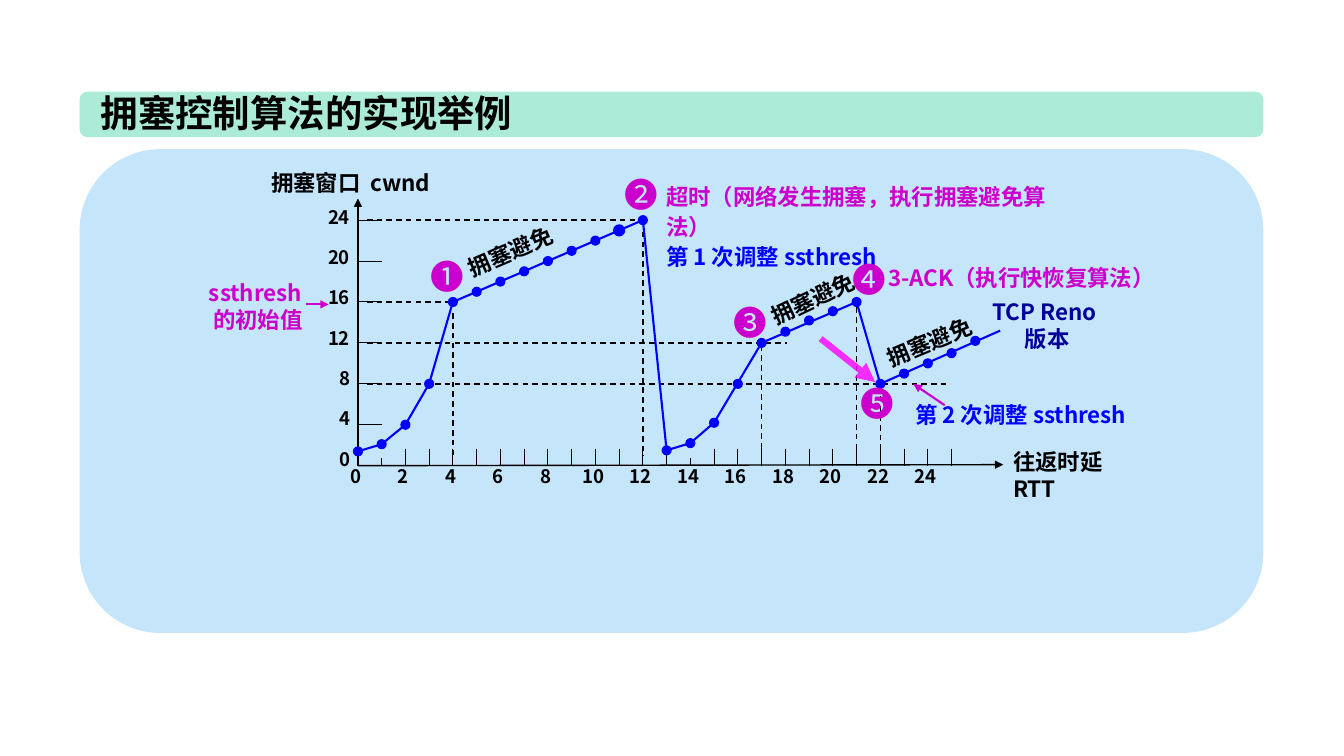
from lxml import etree
from pptx import Presentation
from pptx.dml.color import RGBColor
from pptx.enum import dml, shapes, text
from pptx.oxml import ns
from pptx.util import Inches, Pt

FONT = "Noto Sans CJK SC"
BLACK = RGBColor(0x00, 0x00, 0x00)
BLUE = RGBColor(0x00, 0x00, 0xFF)
NAVY = RGBColor(0x00, 0x00, 0x99)
PURPLE = RGBColor(0xCC, 0x00, 0xCC)
MAGENTA = RGBColor(0xFF, 0x00, 0xFF)
MINT = RGBColor(0xAB, 0xEB, 0xD7)
SKY = RGBColor(0xC5, 0xE5, 0xFB)

# Chart scale: origin, and inches per RTT and per cwnd unit
ORIGIN_X, ORIGIN_Y = 3.55, 4.62
RTT_STEP, CWND_STEP = 0.2355, 0.1015

# Congestion window at RTT 0, 1, 2, ... 26
CWND = [1.4, 2.1, 4, 8, 16, 17, 18, 19, 20, 21, 22, 23, 24,
        1.5, 2.2, 4.2, 8, 12, 13.1, 14.2, 15.1, 16,
        8, 9, 10, 11, 12.2]


def rtt_x(rtt):
    return ORIGIN_X + RTT_STEP * rtt


def cwnd_y(cwnd):
    return ORIGIN_Y - CWND_STEP * cwnd


def at_rtt(rtt):
    return rtt_x(rtt), cwnd_y(CWND[rtt])


def add_panel(slide, left, top, width, height, color):
    panel = slide.shapes.add_shape(
        shapes.MSO_SHAPE.ROUNDED_RECTANGLE,
        Inches(left), Inches(top), Inches(width), Inches(height))
    panel.shadow.inherit = False
    panel.fill.solid()
    panel.fill.fore_color.rgb = color
    panel.line.fill.background()


def add_label(slide, left, top, width, height, lines, color=BLACK, size=16,
              bold=True, align=text.PP_ALIGN.LEFT, wrap=False, rotation=0,
              spacing=None):
    """Each line is a string, or a (string, color) pair."""
    label = slide.shapes.add_textbox(
        Inches(left), Inches(top), Inches(width), Inches(height))
    label.rotation = rotation
    frame = label.text_frame
    frame.word_wrap = wrap
    for index, line in enumerate(lines):
        words, line_color = line if isinstance(line, tuple) else (line, color)
        paragraph = frame.paragraphs[0] if index == 0 else frame.add_paragraph()
        paragraph.alignment = align
        if spacing:
            paragraph.line_spacing = Pt(spacing)
        run = paragraph.add_run()
        run.text = words
        paragraph.font.size = Pt(size)
        paragraph.font.bold = bold
        paragraph.font.name = FONT
        paragraph.font.color.rgb = line_color
        east_asian = etree.SubElement(run._r.get_or_add_rPr(), ns.qn("a:ea"))
        east_asian.set("typeface", FONT)


def add_line(slide, start, end, color=BLACK, width=0.75, dashed=False,
             arrow=False, opacity=100):
    line = slide.shapes.add_connector(
        shapes.MSO_CONNECTOR.STRAIGHT, *map(Inches, (*start, *end)))
    line.line.color.rgb = color
    line.line.width = Pt(width)
    if dashed:
        line.line.dash_style = dml.MSO_LINE.DASH
    properties = line._element.spPr
    outline = line.line._get_or_add_ln()
    if opacity < 100:
        alpha = etree.SubElement(outline.find(".//" + ns.qn("a:srgbClr")),
                                 ns.qn("a:alpha"))
        alpha.set("val", str(opacity * 1000))
    if arrow:
        etree.SubElement(outline, ns.qn("a:tailEnd")).set("type", "triangle")
    etree.SubElement(properties, ns.qn("a:effectLst"))


def add_curve(slide, points):
    (first, *rest) = [(Inches(x), Inches(y)) for x, y in points]
    builder = slide.shapes.build_freeform(*first)
    builder.add_line_segments(rest, close=False)
    curve = builder.convert_to_shape()
    curve.shadow.inherit = False
    curve.fill.background()
    curve.line.color.rgb = BLUE
    curve.line.width = Pt(1.5)


def add_dot(slide, x, y, outline=0.75):
    size = 0.09
    dot = slide.shapes.add_shape(
        shapes.MSO_SHAPE.OVAL, Inches(x - size / 2), Inches(y - size / 2),
        Inches(size), Inches(size))
    dot.shadow.inherit = False
    dot.fill.solid()
    dot.fill.fore_color.rgb = BLUE
    dot.line.color.rgb = BLUE
    dot.line.width = Pt(outline)


def draw_axes(slide):
    origin = (ORIGIN_X, ORIGIN_Y)
    add_line(slide, origin, (9.95, 4.61), width=1, arrow=True)
    add_line(slide, origin, (ORIGIN_X, 1.97), width=1, arrow=True)
    for rtt in range(1, 26):
        top = 4.54 if rtt in (1, 14) else 4.45
        add_line(slide, (rtt_x(rtt), top), (rtt_x(rtt), ORIGIN_Y))
    for cwnd in range(4, 25, 4):
        add_line(slide, (ORIGIN_X, cwnd_y(cwnd)), (3.79, cwnd_y(cwnd)))

    # Numbers on both axes
    for rtt in range(0, 25, 2):
        width = 0.32 if rtt < 10 else 0.43
        add_label(slide, rtt_x(rtt) - 0.02 - width / 2, 4.56, width, 0.33,
                  [str(rtt)], size=13.3, align=text.PP_ALIGN.CENTER)
    for cwnd in range(0, 25, 4):
        width = 0.32 if cwnd < 10 else 0.43
        add_label(slide, 3.57 - width, 4.39 - 0.1 * cwnd, width, 0.33,
                  [str(cwnd)], size=13.3, align=text.PP_ALIGN.RIGHT)
    add_label(slide, 9.95, 4.4, 1.2, 0.64, ["往返时延 RTT"], wrap=True)
    add_label(slide, 2.59, 1.63, 2.3, 0.37, ["拥塞窗口  cwnd"], wrap=True)


def draw_guides(slide):
    for cwnd, right in ((24, 6.39), (16, 4.49), (12, 7.81), (8, 9.38)):
        add_line(slide, (3.64, cwnd_y(cwnd)), (right, cwnd_y(cwnd)),
                 width=1, dashed=True)
    for rtt, top in ((4, 3.11), (12, 2.3), (17, 3.43), (21, 3.05), (22, 3.83)):
        add_line(slide, (rtt_x(rtt), top), (rtt_x(rtt), 4.52),
                 width=1, dashed=True)


def draw_window_curve(slide):
    add_curve(slide, [at_rtt(rtt) for rtt in (0, 1, 2, 3, 4, 12)])
    add_curve(slide, [at_rtt(rtt) for rtt in (13, 14, 15, 17, 21)])
    for before, after in ((12, 13), (21, 22)):
        add_line(slide, at_rtt(before), at_rtt(after), BLUE, 1.5)
    add_line(slide, at_rtt(22), (9.92, 3.28), BLUE, 1.5)
    for rtt in range(len(CWND)):
        add_dot(slide, *at_rtt(rtt), outline=2.25 if rtt == 11 else 0.75)


def draw_notes(slide):
    center = text.PP_ALIGN.CENTER
    add_label(slide, 6.51, 1.74, 4.35, 0.97,
              [("超时（网络发生拥塞，执行拥塞避免算法）", PURPLE),
               ("第 1 次调整 ssthresh", BLUE)], wrap=True, spacing=21.3)
    add_label(slide, 8.71, 2.57, 3.14, 0.37, ["3-ACK（执行快恢复算法）"],
              PURPLE, wrap=True)
    add_label(slide, 8.98, 3.93, 2.94, 0.37, ["第 2 次调整 ssthresh"],
              BLUE, wrap=True)
    add_label(slide, 9.71, 2.91, 1.35, 0.64, ["TCP Reno ", "版本"], NAVY,
              align=center)
    add_label(slide, 1.95, 2.72, 1.17, 0.64, ["ssthresh", " 的初始值"], PURPLE,
              align=center)
    for left, top, angle in ((4.51, 2.31, 336.8), (7.51, 2.78, 334.5),
                             (8.67, 3.21, 337.4)):
        add_label(slide, left, top, 1.1, 0.37, ["拥塞避免"], align=center,
                  rotation=angle)

    # Numbered steps
    for number, left, top in (("❶", 4.17, 2.49), ("❷", 6.1, 1.68),
                              ("❸", 7.18, 2.95), ("❹", 8.36, 2.52),
                              ("❺", 8.44, 3.75)):
        add_label(slide, left, top, 0.5, 0.5, [number], PURPLE, 24, bold=False)

    # Pointers
    add_line(slide, (3.04, 3.02), (3.26, 3.02), PURPLE, 1.5, arrow=True)
    add_line(slide, (9.37, 4.02), (9.06, 3.81), PURPLE, 1.5, arrow=True)
    add_line(slide, (8.14, 3.36), (8.68, 3.79), MAGENTA, 4.5, arrow=True,
             opacity=80)


def main():
    deck = Presentation()
    deck.slide_width, deck.slide_height = Inches(13.33), Inches(7.5)
    slide = deck.slides.add_slide(deck.slide_layouts[6])

    # Title bar and background panel
    add_panel(slide, 0.79, 1.48, 11.74, 4.8, SKY)
    add_panel(slide, 0.79, 0.91, 11.74, 0.45, MINT)
    add_label(slide, 0.9, 0.84, 4.31, 0.55, ["拥塞控制算法的实现举例"], size=26.7)

    # Congestion window chart
    draw_axes(slide)
    draw_guides(slide)
    draw_window_curve(slide)
    draw_notes(slide)

    deck.save("out.pptx")


if __name__ == "__main__":
    main()
